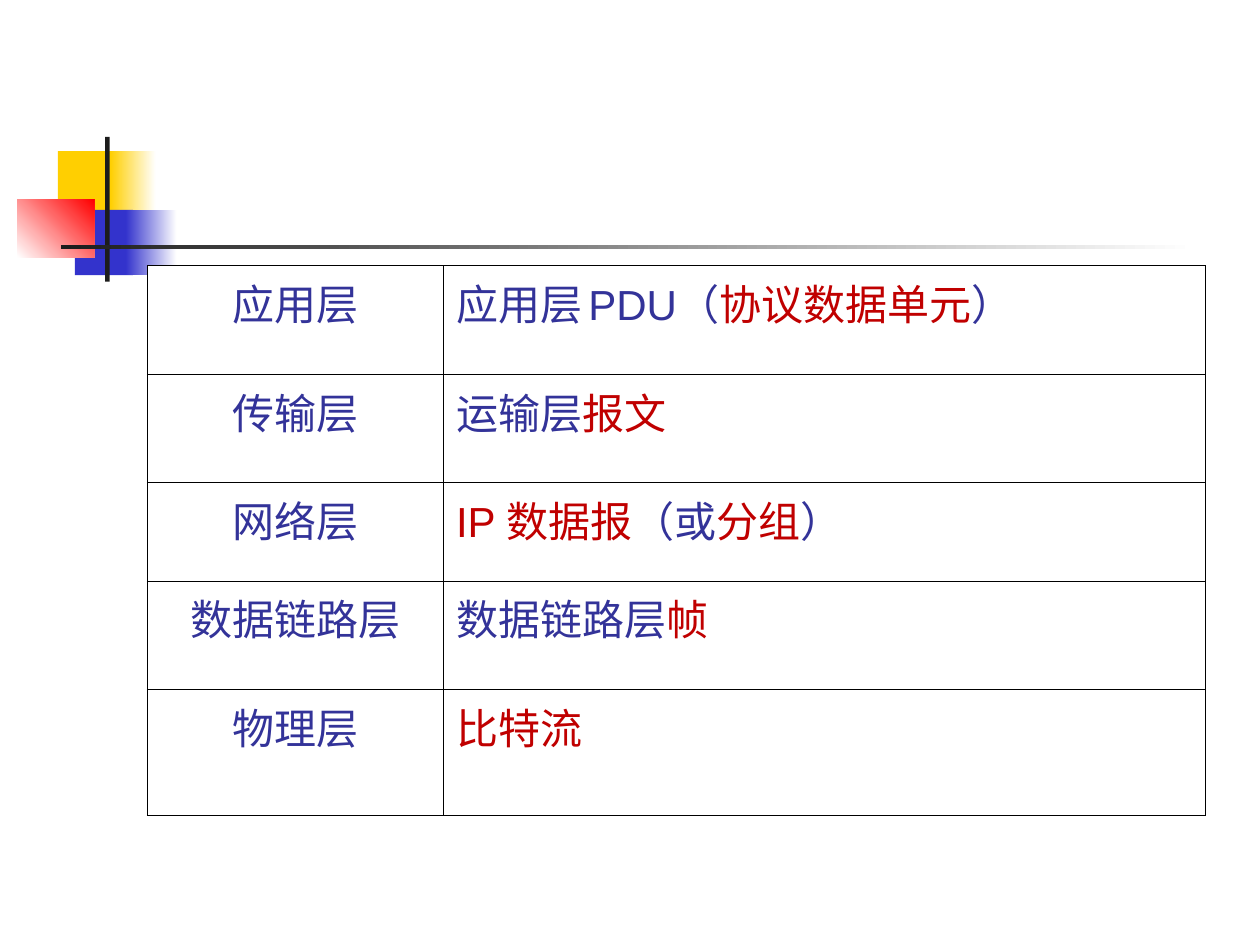
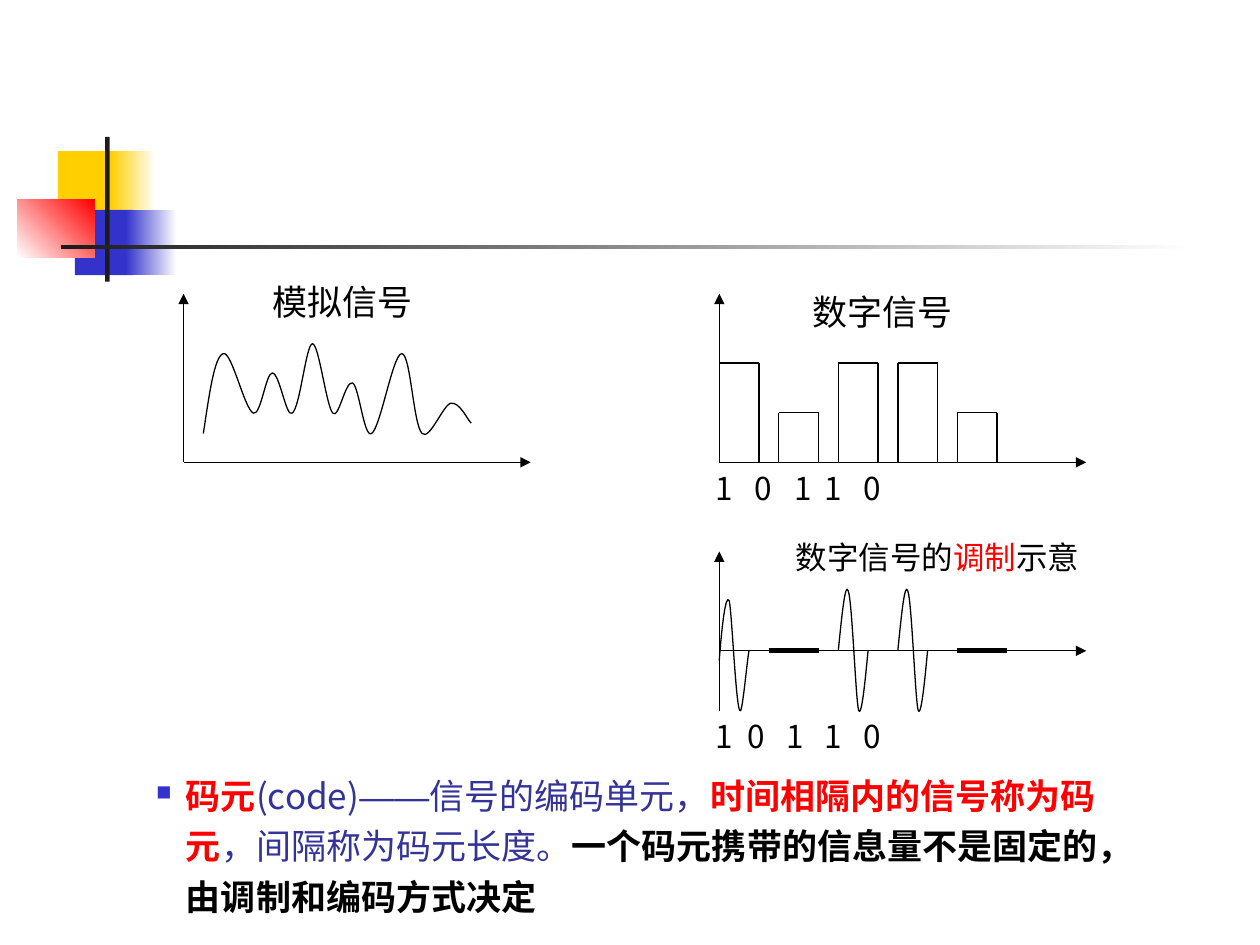
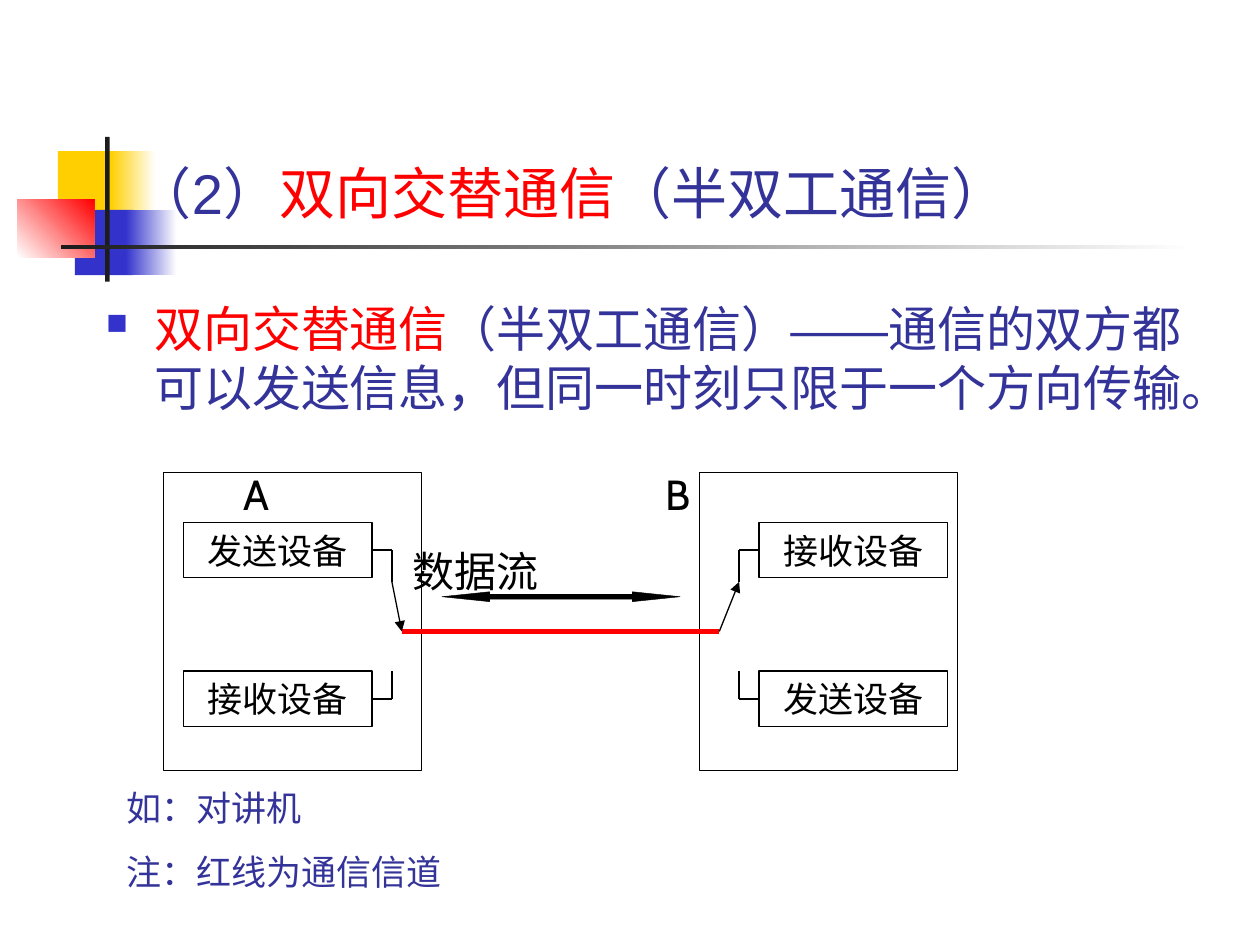
from lxml import etree
from pptx import Presentation
from pptx.dml.color import RGBColor
from pptx.enum.shapes import MSO_CONNECTOR, MSO_SHAPE
from pptx.enum.text import MSO_ANCHOR, PP_ALIGN
from pptx.oxml.ns import qn
from pptx.util import Cm, Pt

RECT = MSO_SHAPE.RECTANGLE
ARROW = MSO_SHAPE.LEFT_RIGHT_ARROW
STRAIGHT = MSO_CONNECTOR.STRAIGHT
LEFT, CENTER, JUST = PP_ALIGN.LEFT, PP_ALIGN.CENTER, PP_ALIGN.JUSTIFY
TOP, MIDDLE, BOTTOM = MSO_ANCHOR.TOP, MSO_ANCHOR.MIDDLE, MSO_ANCHOR.BOTTOM

WHITE = RGBColor(0xFF, 0xFF, 0xFF)
BLACK = RGBColor(0x00, 0x00, 0x00)
COAL = RGBColor(0x1C, 0x1C, 0x1C)
GOLD = RGBColor(0xFF, 0xCF, 0x01)
BLUE = RGBColor(0x33, 0x33, 0xCC)
NAVY = RGBColor(0x33, 0x33, 0x99)
RED = RGBColor(0xFF, 0x00, 0x00)
WINE = RGBColor(0xC0, 0x00, 0x00)

SANS, CABIN, NOTO = "Arial", "Cabin", "Noto Sans CJK SC"
THIN = 0.75


def write(frame, paras, size=20, face=CABIN, east=CABIN, align=LEFT, anchor=TOP,
          before=0, after=0, space=None, hang=0, tabs=()):
    frame.word_wrap = True
    frame.vertical_anchor = anchor
    for row, runs in enumerate(paras):
        para = frame.add_paragraph() if row else frame.paragraphs[0]
        props = para._p.get_or_add_pPr()
        if hang:
            props.set("marL", str(Cm(hang)))
            props.set("indent", str(-Cm(hang)))
            tint = etree.SubElement(props, qn("a:buClr"))
            etree.SubElement(tint, qn("a:srgbClr"), val=str(BLUE))
            etree.SubElement(props, qn("a:buSzPct"), val="60000")
            etree.SubElement(props, qn("a:buFont"), typeface="Wingdings", charset="2")
            etree.SubElement(props, qn("a:buChar"), char="n")
        if tabs:
            stops = etree.SubElement(props, qn("a:tabLst"))
            for stop in tabs:
                etree.SubElement(stops, qn("a:tab"), pos=str(Cm(stop)), algn="l")
        para.alignment = align
        para.space_before = Pt(before if row else 0)
        para.space_after = Pt(after)
        if space:
            para.line_spacing = space
        for words, color, *looks in runs:
            run = para.add_run()
            run.text = words
            run.font.size = Pt(size)
            run.font.name = face
            run.font.color.rgb = color
            for look in looks:
                for key, value in look.items():
                    setattr(run.font, key, value)
            script = SANS if words == "——" else east
            etree.SubElement(run.font._element, qn("a:ea"), typeface=script)


def draw(slide, start, end, color=BLACK, width=THIN, head=False):
    line = slide.shapes.add_connector(STRAIGHT, *map(Cm, start + end))
    line.line.color.rgb = color
    line.line.width = Pt(width)
    props = line._element.spPr
    if head:
        etree.SubElement(props.find(qn("a:ln")), qn("a:tailEnd"), type="triangle")
    etree.SubElement(props, qn("a:effectLst"))
    return line


deck = Presentation()
deck.slide_width, deck.slide_height = Cm(25.4), Cm(19.05)

DECOR = [
    ((1.17, 3.05, 1.22, 1.32), GOLD, None, 0),
    ((2.23, 3.05, 0.91, 1.32), GOLD, WHITE, 0),
    ((1.51, 4.23, 1.17, 1.32), BLUE, None, 0),
    ((2.54, 4.23, 1.02, 1.32), BLUE, WHITE, 0),
    ((0.35, 4.02, 1.55, 1.17), WHITE, RED, 45),
    ((2.12, 2.76, 0.09, 2.92), COAL, None, 0),
    ((1.23, 4.94, 22.86, 0.09), COAL, WHITE, 0),
]
for page in range(3):
    slide = deck.slides.add_slide(deck.slide_layouts[6])
    for box, first, last, angle in DECOR:
        shape = slide.shapes.add_shape(RECT, *map(Cm, box))
        shape.shadow.inherit = False
        shape.line.fill.background()
        if last is None:
            shape.fill.solid()
            shape.fill.fore_color.rgb = first
        else:
            shape.fill.gradient()
            shape.fill.gradient_angle = angle
            for stop, color in zip(shape.fill.gradient_stops, (first, last)):
                stop.color.rgb = color
layers, signal, duplex = deck.slides

LAYERS = [
    ("应用层", 2.19, [("应用层", NAVY), (" ", NAVY, {"size": Pt(16)}), ("PDU（", NAVY),
                   ("协议数据单元", WINE), ("）", NAVY)]),
    ("传输层", 2.19, [("运输层", NAVY), ("报文", WINE)]),
    ("网络层", 1.98, [("IP 数据报", WINE), ("（或", NAVY), ("分组", WINE), ("）", NAVY)]),
    ("数据链路层", 2.19, [("数据链路层", NAVY), ("帧", WINE)]),
    ("物理层", 2.53, [("比特流", WINE)]),
]
table = layers.shapes.add_table(len(LAYERS), 2, *map(Cm, (2.97, 5.35, 21.33, 11.08))).table
table.first_row = table.horz_banding = False
for column, width in zip(table.columns, (5.97, 15.36)):
    column.width = Cm(width)
for row, (name, height, unit) in enumerate(LAYERS):
    table.rows[row].height = Cm(height)
    for col, (runs, align) in enumerate((([(name, NAVY)], CENTER), (unit, JUST))):
        cell = table.cell(row, col)
        props = cell._tc.get_or_add_tcPr()
        for side in ("lnL", "lnR", "lnT", "lnB"):
            edge = etree.SubElement(props, qn("a:" + side), w=str(Pt(0.45)))
            paint = etree.SubElement(edge, qn("a:solidFill"))
            etree.SubElement(paint, qn("a:srgbClr"), val=str(BLACK))
        cell.fill.solid()
        cell.fill.fore_color.rgb = WHITE
        write(cell.text_frame, [runs], size=24, face=SANS, east=NOTO, align=align)

BOLD = {"bold": True}
box = signal.shapes.add_textbox(*map(Cm, (2.9, 15.32, 19.66, 3.3)))
write(box.text_frame, [[
    ("码元", RED, BOLD), ("(code)", NAVY), ("——", NAVY, {"name": SANS}),
    ("信号的编码单元，", NAVY), ("时间相隔内的信号称为码元", RED, BOLD),
    ("，间隔称为码元长度。", NAVY),
    ("一个码元携带的信息量不是固定的，由调制和编码方式决定", BLACK, BOLD),
]], face=NOTO, space=1.2, hang=0.6)

LABELS = [
    ((4.72, 5.54, 4.39, 1.12), 20, [("模拟信号", BLACK)]),
    ((15.88, 5.74, 3.81, 1.12), 20, [("数字信号", BLACK)]),
    ((15.49, 10.72, 6.81, 1.02), 18,
     [("数字信号的", BLACK), ("调制", RED), ("示意", BLACK)]),
]
for place, size, runs in LABELS:
    box = signal.shapes.add_textbox(*map(Cm, place))
    write(box.text_frame, [runs], size=size, align=CENTER)

for top, tabs in ((9.34, (0.28, 1.07, 1.88, 2.48, 3.26)),
                  (14.33, (0.28, 0.92, 1.71, 2.48, 3.26))):
    box = signal.shapes.add_textbox(*map(Cm, (13.89, top, 8, 1.02)))
    write(box.text_frame, [[("\t1\t0\t1\t1\t0", BLACK)]], size=18, face=NOTO, tabs=tabs)

BASE, MID, ZERO, STEP = 9.32, 13.12, 14.5, 1.2
AXES = [
    ((3.7, BASE), (10.7, BASE)), ((3.7, BASE), (3.7, 5.92)),
    ((ZERO, BASE), (21.9, BASE)), ((ZERO, BASE), (ZERO, 5.92)),
    ((ZERO, MID), (21.9, MID)), ((ZERO, 14.33), (ZERO, 11.12)),
]
for start, end in AXES:
    draw(signal, start, end, head=True)

for slot, bit in enumerate((1, 0, 1, 1, 0)):
    left = ZERO + slot * STEP
    right, top = left + 0.8, BASE - (2 if bit else 1)
    if slot:
        draw(signal, (left, BASE), (left, top))
    draw(signal, (left, top), (right, top))
    draw(signal, (right, top), (right, BASE))
for left, right in ((15.5, 16.5), (19.3, 20.3)):
    draw(signal, (left, MID), (right, MID), width=3)

WAVE = [
    (4.1, 8.74), (4.22, 7.95), (4.32, 7.19), (4.5, 7.13), (4.67, 7.06), (4.93, 8.26),
    (5.11, 8.33), (5.26, 8.38), (5.36, 7.52), (5.49, 7.52), (5.64, 7.52), (5.77, 8.43),
    (5.89, 8.33), (6.05, 8.23), (6.17, 6.93), (6.3, 6.93), (6.43, 6.93), (6.58, 8.2),
    (6.71, 8.33), (6.83, 8.46), (6.96, 7.67), (7.11, 7.72), (7.24, 7.8), (7.34, 8.84),
    (7.49, 8.74), (7.67, 8.64), (7.92, 7.13), (8.1, 7.13), (8.28, 7.13), (8.33, 8.56),
    (8.51, 8.74), (8.66, 8.89), (8.94, 8.15), (9.09, 8.13), (9.27, 8.1), (9.42, 8.46),
    (9.5, 8.53),
]
FIRST = [(0, 0.2), (0.05, -0.48), (0.13, -1.17), (0.2, -1.01), (0.25, -0.84),
         (0.33, 1.02), (0.41, 1.2), (0.46, 1.38), (0.56, 0.18), (0.6, 0)]
PULSE = [(0, 0), (0.07, -0.71), (0.14, -1.4), (0.2, -1.21), (0.28, -1.02),
         (0.35, 0.99), (0.41, 1.2), (0.48, 1.4), (0.58, 0.18), (0.6, 0)]
CURVES = [(0, 0, WAVE), (ZERO, MID, FIRST),
          (ZERO + 2 * STEP, MID, PULSE), (ZERO + 3 * STEP, MID, PULSE)]
for left, top, knots in CURVES:
    dots = [(Cm(left + x), Cm(top + y)) for x, y in knots]
    pen = signal.shapes.build_freeform(*dots[0])
    pen.add_line_segments(dots[1:], close=False)
    curve = pen.convert_to_shape()
    steps = list(curve._element.iter(qn("a:lnTo")))
    route = steps[0].getparent()
    for at in range(0, len(steps), 3):
        bend = etree.SubElement(route, qn("a:cubicBezTo"))
        for step in steps[at:at + 3]:
            bend.append(step[0])
            route.remove(step)
    curve.shadow.inherit = False
    curve.fill.background()
    curve.line.color.rgb = BLACK
    curve.line.width = Pt(THIN)

title = duplex.shapes.add_textbox(*map(Cm, (2.49, 0.61, 22.35, 4.06)))
write(title.text_frame, [[("（2）", NAVY), ("双向交替通信", RED), ("（半双工通信）", NAVY)]],
      size=32, face=SANS, anchor=BOTTOM)
body = duplex.shapes.add_textbox(*map(Cm, (1.89, 5.89, 22.58, 3.23)))
write(body.text_frame, [[
    ("双向交替通信", RED), ("（半双工通信）", NAVY), ("——", NAVY),
    ("通信的双方都可以发送信息，但同一时刻只限于一个方向传输。", NAVY),
]], size=28, face=SANS, after=5.2, hang=0.97)
names = duplex.shapes.add_textbox(*map(Cm, (3.71, 9.33, 17.2, 7.47)))
write(names.text_frame, [[("\tA\t\tB", BLACK)], [("\t\t数据流", BLACK)]],
      size=24, before=15, tabs=(0.95, 4.35, 9.46))

WIRE, TURN = 12.73, 11.73
DEVICES = [
    ("发送设备", 3.7, 10.53, 3, TURN), ("接收设备", 15.3, 10.53, 1, TURN),
    ("接收设备", 3.7, 13.53, 3, 13.53), ("发送设备", 15.3, 13.53, 1, 13.53),
]
FRAMES = [("", left, 9.53, None, None) for left in (3.3, 14.1)]
for name, left, top, side, end in DEVICES + FRAMES:
    wide, high = (3.8, 1.12) if name else (5.2, 6)
    box = duplex.shapes.add_shape(RECT, *map(Cm, (left, top, wide, high)))
    box.shadow.inherit = False
    box.fill.background()
    box.line.color.rgb = BLACK
    box.line.width = Pt(THIN)
    if name:
        write(box.text_frame, [[(name, BLACK)]], align=CENTER, anchor=MIDDLE)
        edge, bend = (left + wide, left + wide + 0.4) if side == 3 else (left, left - 0.4)
        mid = top + high / 2
        draw(duplex, (edge, mid), (bend, mid)).begin_connect(box, side)
        draw(duplex, (bend, mid), (bend, end))

flow = duplex.shapes.add_shape(ARROW, *map(Cm, (8.91, 11.93, 4.8, 0.2)))
flow.adjustments[0], flow.adjustments[1] = 0.5, 4.82
flow.shadow.inherit = False
flow.fill.solid()
flow.fill.fore_color.rgb = BLACK
flow.line.color.rgb = BLACK
flow.line.width = Pt(0.25)

draw(duplex, (8.1, WIRE), (14.5, WIRE), color=RED, width=3)
draw(duplex, (14.5, WIRE), (14.9, TURN), head=True)
draw(duplex, (7.9, TURN), (8.1, WIRE), head=True)

notes = duplex.shapes.add_textbox(*map(Cm, (2.3, 15.74, 8, 2.39)))
write(notes.text_frame, [[("如：对讲机", NAVY)], [("注：红线为通信信道", NAVY)]],
      face=SANS, before=12.5)

deck.save("out.pptx")
